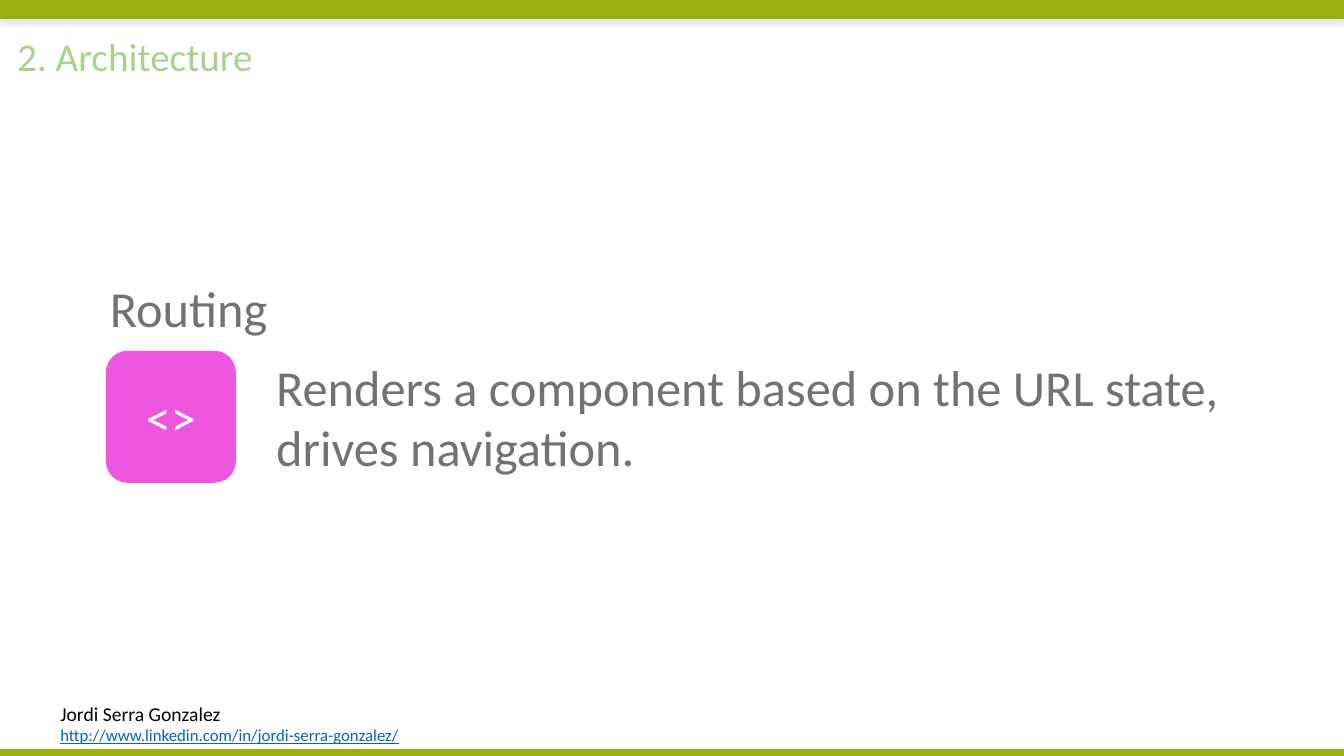
"""Build the routing slide of the architecture chapter."""
from lxml.etree import SubElement
from pptx import Presentation
from pptx.dml.color import RGBColor
from pptx.enum.shapes import MSO_SHAPE
from pptx.enum.text import MSO_ANCHOR, MSO_AUTO_SIZE, PP_ALIGN
from pptx.oxml.ns import qn
from pptx.util import Inches, Pt

HUES = {"bar": "9BAF0D", "title": "A9D18E", "icon": "EF56E0", "text": "767171",
        "link": "0563C1", "name": "000000", "white": "FFFFFF"}


def write(shape, lines, align=PP_ALIGN.LEFT):
    frame = shape.text_frame
    frame.text = "\n".join(line[0] for line in lines)
    for para, (_, size, hue) in zip(frame.paragraphs, lines):
        para.alignment = align
        for run in para.runs:
            run.font.name = "Calibri"
            run.font.size = Pt(size)
            run.font.color.rgb = RGBColor.from_string(HUES[hue])
    return frame


def draw(kind, box, hue):
    shape = slide.shapes.add_shape(kind, *map(Inches, box))
    shape.shadow.inherit = False
    shape.fill.solid()
    shape.fill.fore_color.rgb = RGBColor.from_string(HUES[hue])
    shape.line.fill.background()
    return shape


deck = Presentation()
deck.slide_width, deck.slide_height = Inches(13.33), Inches(7.5)
slide = deck.slides.add_slide(deck.slide_layouts[5])

bars = []
for top, height in [(0, 0.18), (7.44, 0.06)]:
    bar = draw(MSO_SHAPE.RECTANGLE, (0, top, 13.33, height), "bar")
    bar.line.color.rgb = RGBColor.from_string(HUES["bar"])
    bar.line.width = Pt(1)
    bars.append(bar)

effects = bars[0].element.spPr.find(qn("a:effectLst"))
shade = SubElement(effects, qn("a:outerShdw"), blurRad=str(Pt(4)), dist=str(Pt(3)),
                   dir="5400000", algn="t", rotWithShape="0")
black = SubElement(shade, qn("a:srgbClr"), val="000000")
SubElement(black, qn("a:alpha"), val="10000")

title = slide.shapes.title
title.left, title.top = Inches(0.07), Inches(0.27)
title.width, title.height = Inches(12.71), Inches(0.57)
frame = write(title, [("2. Architecture", 28, "title")])
frame.vertical_anchor = MSO_ANCHOR.TOP
frame.auto_size = MSO_AUTO_SIZE.NONE

icon = draw(MSO_SHAPE.ROUNDED_RECTANGLE, (1.05, 3.48, 1.29, 1.31), "icon")
frame = write(icon, [("<>", 36, "white")], PP_ALIGN.CENTER)
frame.vertical_anchor = MSO_ANCHOR.MIDDLE

notes = [
    ((0.99, 2.7, 3.39, 0.71), True, [("Routing", 36, "text")]),
    ((2.64, 3.48, 9.7, 1.31), True,
     [("Renders a component based on the URL state, drives navigation.", 36, "text")]),
    ((0.5, 6.91, 3.59, 0.54), False,
     [("Jordi Serra Gonzalez", 14, "name"),
      ("http://www.linkedin.com/in/jordi-serra-gonzalez/", 12, "link")]),
]
for box, wrap, lines in notes:
    frame = write(slide.shapes.add_textbox(*map(Inches, box)), lines)
    frame.word_wrap = wrap
    frame.auto_size = MSO_AUTO_SIZE.SHAPE_TO_FIT_TEXT
frame.paragraphs[1].runs[0].font.underline = True

deck.save("out.pptx")
